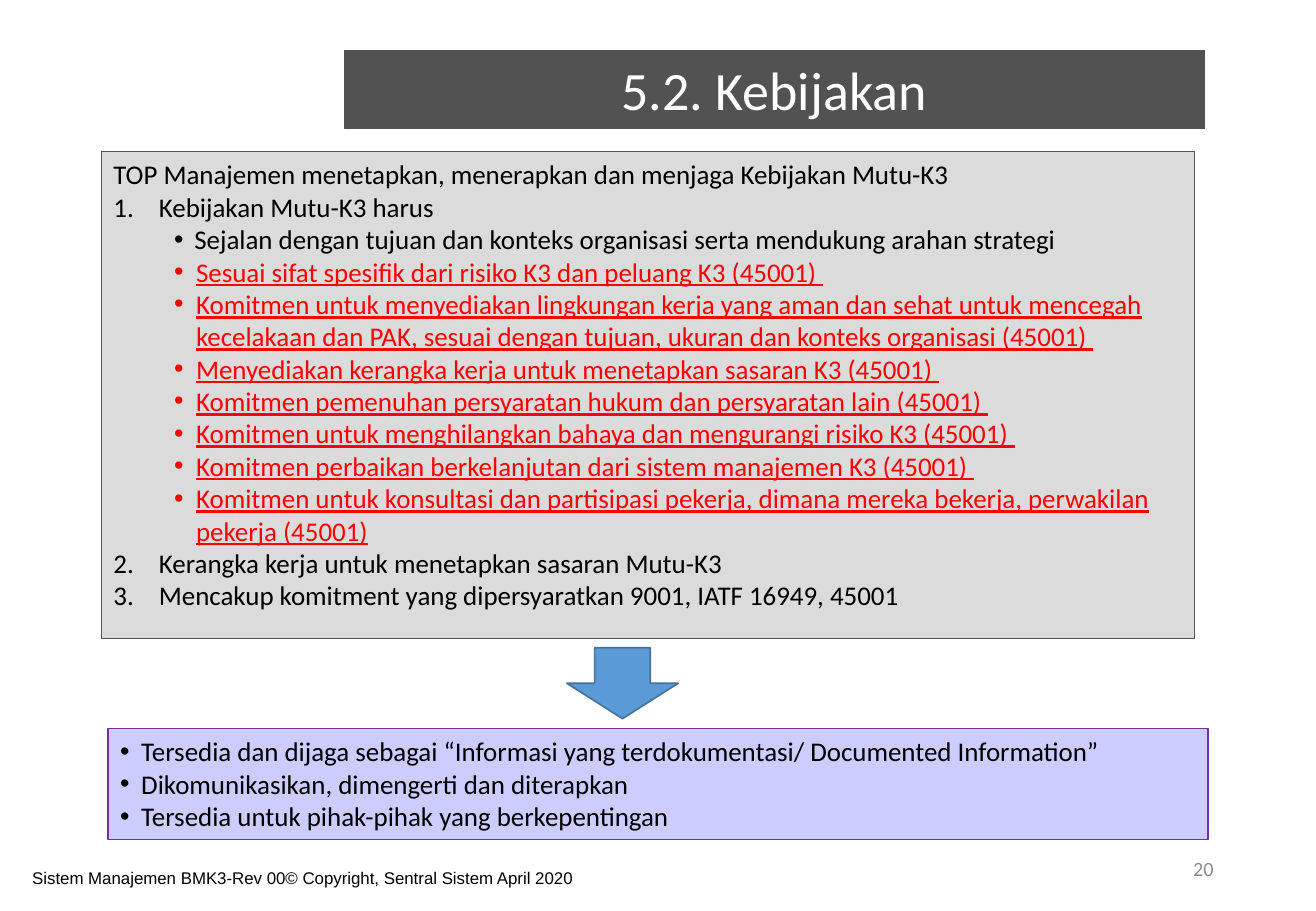
"""Build the slide on the quality and safety policy, clause 5.2."""
from dataclasses import dataclass

from lxml import etree
from pptx import Presentation
from pptx.dml.color import RGBColor
from pptx.enum.shapes import MSO_SHAPE
from pptx.enum.text import MSO_ANCHOR, MSO_AUTO_SIZE, PP_ALIGN
from pptx.oxml.ns import qn
from pptx.util import Pt

DOWN_ARROW = MSO_SHAPE.DOWN_ARROW
TOP, MIDDLE = MSO_ANCHOR.TOP, MSO_ANCHOR.MIDDLE
NO_AUTOFIT = MSO_AUTO_SIZE.NONE
LEFT, CENTER, RIGHT = PP_ALIGN.LEFT, PP_ALIGN.CENTER, PP_ALIGN.RIGHT


@dataclass(frozen=True)
class Theme:
    """Colours, fonts and type sizes of the slide."""
    text: str = "000000"
    accent: str = "FF0000"
    title_text: str = "FFFFFF"
    title_fill: str = "525252"
    policy_fill: str = "DBDBDB"
    result_fill: str = "CCCCFF"
    result_line: str = "7030A0"
    arrow_fill: str = "5B9BD5"
    arrow_line: str = "43739E"
    muted: str = "8C8C8C"
    font: str = "Calibri"
    footer_font: str = "Arial"
    title_size: float = 32
    body_size: float = 16
    number_size: float = 12
    footer_size: float = 10


@dataclass(frozen=True)
class Item:
    """One list line with its marker and indents in points."""
    text: str
    marker: str = ""
    start: float = 0
    hanging: float = 0
    level: int = 0
    accent: bool = False


class SlideBuilder:
    """Draws styled elements on one slide."""

    def __init__(self, slide, theme):
        self.slide = slide
        self.theme = theme

    def place(self, shape, box):
        shape.left, shape.top, shape.width, shape.height = map(Pt, box)

    def paint(self, shape, fill, line, width=0.75):
        shape.fill.solid()
        shape.fill.fore_color.rgb = RGBColor.from_string(fill)
        shape.line.color.rgb = RGBColor.from_string(line)
        shape.line.width = Pt(width)

    def prepare_frame(self, shape, anchor):
        frame = shape.text_frame
        frame.word_wrap = True
        frame.auto_size = NO_AUTOFIT
        frame.vertical_anchor = anchor
        return frame

    def style(self, paragraph, size, color, font=None, align=LEFT):
        paragraph.alignment = align
        paragraph.space_before = Pt(0)
        paragraph.font.name = font or self.theme.font
        paragraph.font.size = Pt(size)
        paragraph.font.color.rgb = RGBColor.from_string(color)

    def mark(self, paragraph, item, color):
        properties = paragraph._p.get_or_add_pPr()
        properties.set("marL", str(Pt(item.start + item.hanging)))
        properties.set("indent", str(-Pt(item.hanging)))
        if not item.marker:
            etree.SubElement(properties, qn("a:buNone"))
            return
        bullet_color = etree.SubElement(properties, qn("a:buClr"))
        etree.SubElement(bullet_color, qn("a:srgbClr"), val=color)
        if item.marker == "1.":
            etree.SubElement(properties, qn("a:buFont"), typeface=self.theme.font)
            etree.SubElement(properties, qn("a:buAutoNum"), type="arabicPeriod")
        else:
            etree.SubElement(properties, qn("a:buFont"), typeface="Arial")
            etree.SubElement(properties, qn("a:buChar"), char=item.marker)

    def title(self, text, box):
        theme, shape = self.theme, self.slide.shapes.title
        self.place(shape, box)
        self.paint(shape, theme.title_fill, theme.title_fill)
        paragraph = self.prepare_frame(shape, MIDDLE).paragraphs[0]
        paragraph.text = text
        self.style(paragraph, theme.title_size, theme.title_text, align=CENTER)

    def list_box(self, index, items, box, fill, line):
        shape = self.slide.placeholders[index]
        self.place(shape, box)
        self.paint(shape, fill, line)
        frame = self.prepare_frame(shape, TOP)
        for position, item in enumerate(items):
            paragraph = frame.add_paragraph() if position else frame.paragraphs[0]
            paragraph.text = item.text
            paragraph.level = item.level
            color = self.theme.accent if item.accent else self.theme.text
            self.mark(paragraph, item, color)
            self.style(paragraph, self.theme.body_size, color)
            if item.accent:
                paragraph.font.underline = True

    def arrow(self, box):
        shape = self.slide.shapes.add_shape(DOWN_ARROW, *map(Pt, box))
        shape.shadow.inherit = False
        self.paint(shape, self.theme.arrow_fill, self.theme.arrow_line, 1)

    def label(self, text, box, size, color, font=None, align=LEFT, anchor=TOP):
        shape = self.slide.shapes.add_textbox(*map(Pt, box))
        paragraph = self.prepare_frame(shape, anchor).paragraphs[0]
        paragraph.text = text
        self.style(paragraph, size, color, font, align)


def numbered(text):
    """Return a numbered list line."""
    return Item(text, "1.", hanging=27)


def required(text):
    """Return a highlighted second-level bullet."""
    return Item(text, "•", start=36, hanging=13, level=1, accent=True)


def main():
    """Build and save the presentation."""
    theme = Theme()
    presentation = Presentation()
    presentation.slide_width, presentation.slide_height = Pt(780), Pt(540)
    slide = presentation.slides.add_slide(presentation.slide_layouts[3])
    builder = SlideBuilder(slide, theme)

    commitments = [
        "Sesuai sifat spesifik dari risiko K3 dan peluang K3 (45001) ",
        "Komitmen untuk menyediakan lingkungan kerja yang aman dan sehat untuk mencegah "
        "kecelakaan dan PAK, sesuai dengan tujuan, ukuran dan konteks organisasi (45001) ",
        "Menyediakan kerangka kerja untuk menetapkan sasaran K3 (45001) ",
        "Komitmen pemenuhan persyaratan hukum dan persyaratan lain (45001) ",
        "Komitmen untuk menghilangkan bahaya dan mengurangi risiko K3 (45001) ",
        "Komitmen perbaikan berkelanjutan dari sistem manajemen K3 (45001) ",
        "Komitmen untuk konsultasi dan partisipasi pekerja, dimana mereka bekerja, "
        "perwakilan pekerja (45001)",
    ]
    policy = [
        Item("TOP Manajemen menetapkan, menerapkan dan menjaga Kebijakan Mutu-K3"),
        numbered("Kebijakan Mutu-K3 harus"),
        Item("Sejalan dengan tujuan dan konteks organisasi serta mendukung arahan strategi",
             "•", start=36, hanging=12, level=1),
        *map(required, commitments),
        numbered("Kerangka kerja untuk menetapkan sasaran Mutu-K3"),
        numbered("Mencakup komitment yang dipersyaratkan 9001, IATF 16949, 45001"),
    ]
    results = [Item(text, "•", hanging=12.5) for text in (
        "Tersedia dan dijaga sebagai “Informasi yang terdokumentasi/ Documented Information”",
        "Dikomunikasikan, dimengerti dan diterapkan",
        "Tersedia untuk pihak-pihak yang berkepentingan",
    )]

    builder.title("5.2. Kebijakan", (204, 30, 510, 46))
    builder.list_box(1, policy, (60, 90, 648, 288.5), theme.policy_fill, theme.title_fill)
    builder.list_box(2, results, (64, 432, 652, 65.5), theme.result_fill, theme.result_line)
    builder.arrow((336, 384, 66, 42))
    builder.label("20", (551, 500.5, 175.5, 29), theme.number_size, theme.muted,
                  align=RIGHT, anchor=MIDDLE)
    builder.label("Sistem Manajemen BMK3-Rev 00© Copyright, Sentral Sistem April 2020",
                  (12, 510.5, 378, 29), theme.footer_size, theme.text, theme.footer_font)
    presentation.save("out.pptx")


if __name__ == "__main__":
    main()
